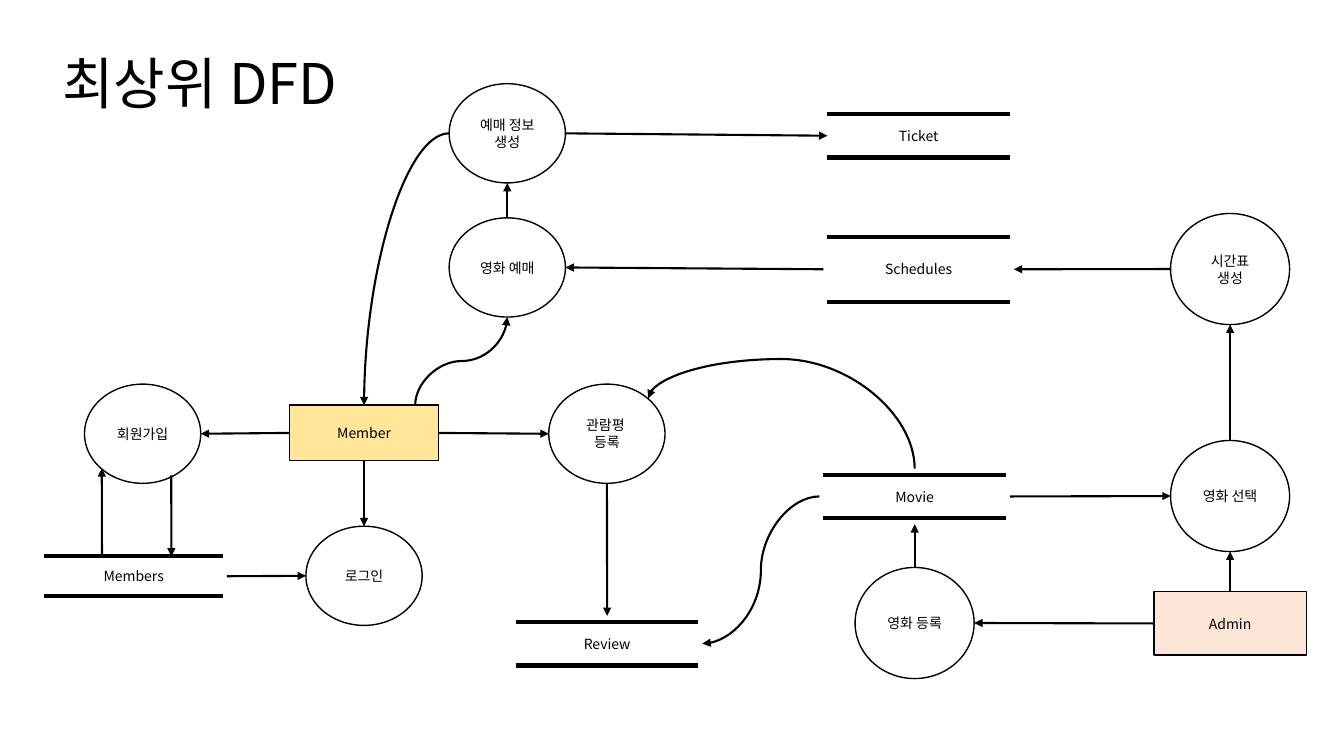
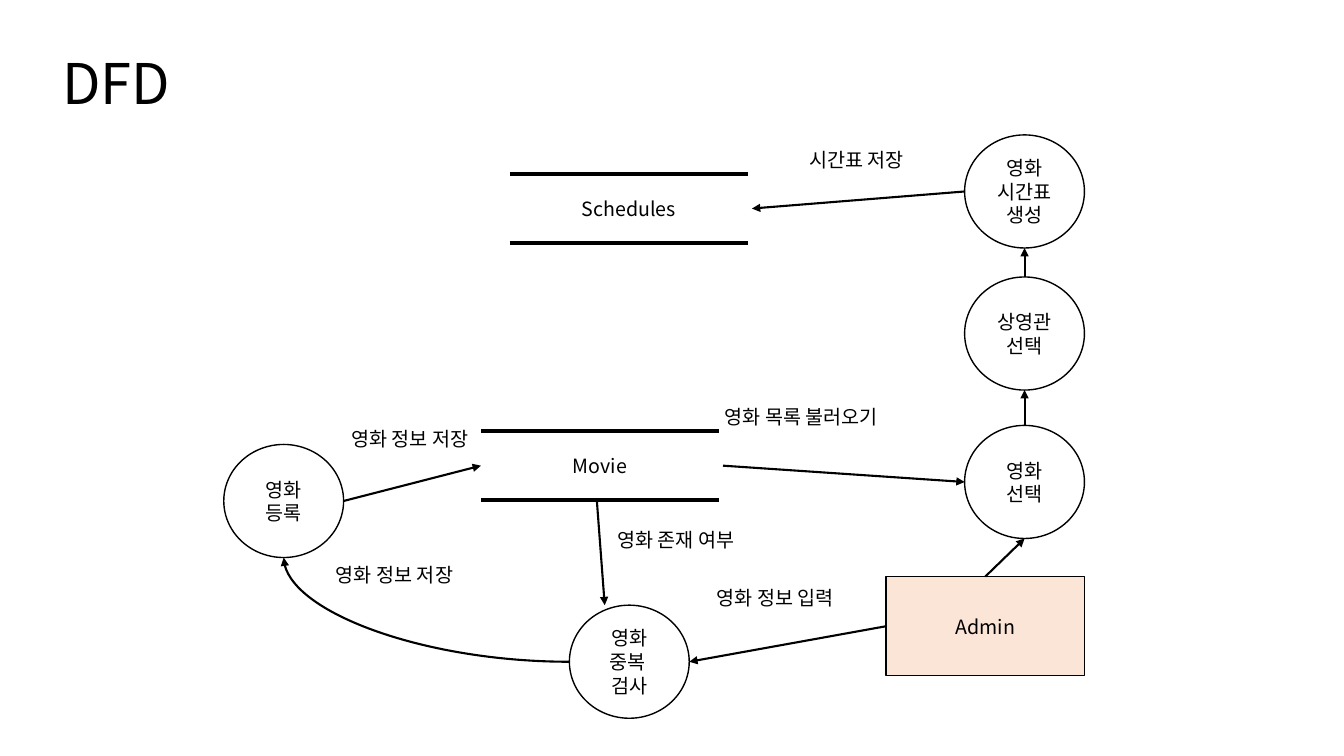
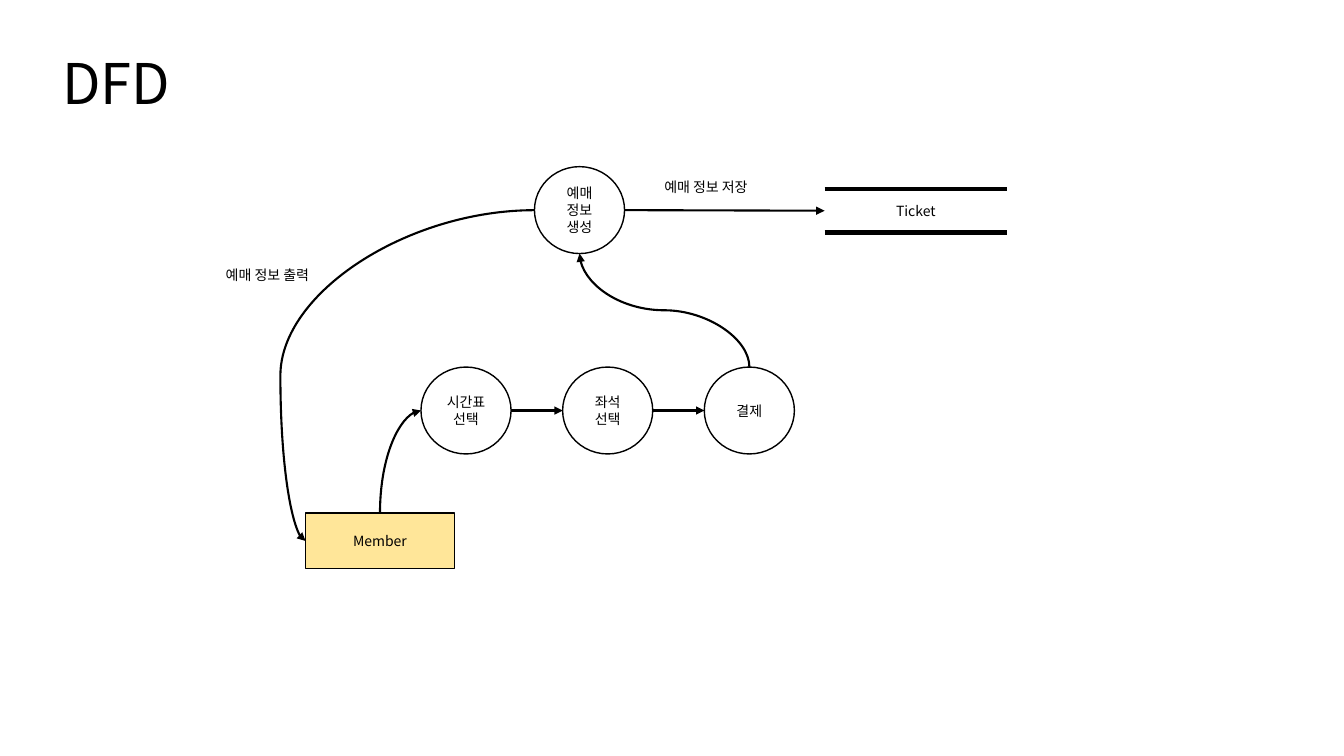
from dataclasses import dataclass
from lxml.etree import SubElement
from pptx import Presentation
from pptx.dml.color import RGBColor
from pptx.enum.shapes import MSO_CONNECTOR, MSO_SHAPE
from pptx.enum.text import MSO_ANCHOR, PP_ALIGN
from pptx.oxml.ns import qn
from pptx.util import Cm, Pt

FONT = "Noto Sans CJK KR"
COLORS = {"ink": "000000", "member": "FFE699", "admin": "FBE5D6"}
# Side of a box: fraction of width and height, outward direction
SIDES = {"l": (0, 0.5, -1, 0), "r": (1, 0.5, 1, 0),
         "t": (0.5, 0, 0, -1), "b": (0.5, 1, 0, 1)}
GAP = 0.1       # between an arrow and the end of a store
GAP_V = 0.15    # between an arrow and the line of a store


def color(name):
    return RGBColor.from_string(COLORS[name])


def write(sp, text, size, align=PP_ALIGN.CENTER, anchor=MSO_ANCHOR.MIDDLE):
    tf = sp.text_frame
    tf.text = text
    tf.word_wrap = True
    tf.vertical_anchor = anchor
    for p in tf.paragraphs:
        p.alignment = align
        for r in p.runs:
            r.font.size = Pt(size)
            r.font.color.rgb = color("ink")
            r.font.name = FONT
            SubElement(r.font._element, qn("a:ea"), typeface=FONT)


def style_line(conn, width, arrow=False):
    conn.line.color.rgb = color("ink")
    conn.line.width = Pt(width)
    sp_pr = conn._element.spPr
    if arrow:
        SubElement(sp_pr.find(qn("a:ln")), qn("a:tailEnd"), type="triangle")
    SubElement(sp_pr, qn("a:effectLst"))


def at(sp, side, gap=0, shift=0):
    """Point on a side of a shape, moved outward by gap and along it by shift."""
    fx, fy, nx, ny = SIDES[side]
    return (sp.left + int(sp.width * fx) + Cm(gap * nx + shift * abs(ny)),
            sp.top + int(sp.height * fy) + Cm(gap * ny + shift * abs(nx)))


@dataclass
class Diagram:
    slide: object
    size: int
    process_w: float
    process_h: float

    def title(self, text):
        sp = self.slide.shapes.add_textbox(Cm(1.32), Cm(0.33), Cm(29.21), Cm(3.68))
        write(sp, text, 40, PP_ALIGN.LEFT)
        sp.text_frame.paragraphs[0].line_spacing = 0.9

    def node(self, kind, text, x, y, w, h, fill=None):
        sp = self.slide.shapes.add_shape(kind, Cm(x), Cm(y), Cm(w), Cm(h))
        sp.shadow.inherit = False
        if fill:
            sp.fill.solid()
            sp.fill.fore_color.rgb = color(fill)
        else:
            sp.fill.background()
        sp.line.color.rgb = color("ink")
        sp.line.width = Pt(1)
        write(sp, text, self.size)
        return sp

    def process(self, text, x, y, w=None, h=None):
        return self.node(MSO_SHAPE.OVAL, text, x, y,
                         w or self.process_w, h or self.process_h)

    def entity(self, text, x, y, w, h):
        return self.node(MSO_SHAPE.RECTANGLE, text, x, y, w, h, text.lower())

    def store(self, text, x, y, w=4.6, h=1.1):
        """Data store: a name between two thick lines."""
        group = self.slide.shapes.add_group_shape()
        for line_y in (y, y + h):
            style_line(group.shapes.add_connector(
                MSO_CONNECTOR.STRAIGHT, Cm(x), Cm(line_y), Cm(x + w), Cm(line_y)), 3)
        write(group.shapes.add_textbox(Cm(x), Cm(y), Cm(w), Cm(h)), text, self.size)
        return group

    def label(self, text, x, y, w, align=PP_ALIGN.CENTER):
        height = Cm(0.25) + Pt(self.size * 1.2)
        sp = self.slide.shapes.add_textbox(Cm(x), Cm(y), Cm(w), height)
        write(sp, text, self.size, align, MSO_ANCHOR.TOP)

    def arrow(self, start, end):
        conn = self.slide.shapes.add_connector(MSO_CONNECTOR.STRAIGHT, *start, *end)
        style_line(conn, 1.5, arrow=True)

    def curve(self, start, end, upward=False, bend=None):
        """Curve leaving leftward or upward; bend places the middle of an S."""
        dx, dy = end[0] - start[0], end[1] - start[1]
        w, h = abs(dx), abs(dy)
        if upward:
            w, h = h, w
            rot, flip_h, flip_v = (90, True, True) if dx > 0 else (270, False, True)
        else:
            rot, flip_h, flip_v = 180, False, dy > 0
        x = (start[0] + end[0] - w) // 2
        y = (start[1] + end[1] - h) // 2
        conn = self.slide.shapes.add_connector(MSO_CONNECTOR.CURVE, x, y, x + w, y + h)
        sp_pr = conn._element.spPr
        xfrm = sp_pr.find(qn("a:xfrm"))
        xfrm.set("rot", str(rot * 60000))
        for name, flipped in (("flipH", flip_h), ("flipV", flip_v)):
            if flipped:
                xfrm.set(name, "1")
        geom = sp_pr.find(qn("a:prstGeom"))
        if bend is None:
            geom.set("prst", "curvedConnector2")
        else:
            SubElement(geom.find(qn("a:avLst")), qn("a:gd"),
                       name="adj1", fmla=f"val {round(bend * 100000)}")
        style_line(conn, 1.5, arrow=True)


def member_flow(d):
    member = d.entity("Member", 7.3, 10.21, 3.75, 1.4)
    login = d.process("로그인", 7.71, 13.26)
    join = d.process("회원가입", 2.13, 9.68)
    members = d.store("Members", 1.12, 14.02, 4.5, 1)
    d.arrow(at(members, "r", GAP), at(login, "l"))
    d.arrow(at(member, "b"), at(login, "t"))
    d.arrow(at(member, "l"), at(join, "r"))
    d.arrow(at(members, "t", shift=-0.8), at(join, "b", -0.38, -1.03))
    d.arrow(at(join, "b", -0.2, 0.72), at(members, "t", shift=0.95))
    return member


def admin_flow(d):
    """Returns the movie and schedule stores that the members use."""
    big = (3, 2.8)
    admin = d.entity("Admin", 29.08, 14.91, 3.84, 1.6)
    movie = d.store("Movie", 20.75, 11.96)
    schedules = d.store("Schedules", 20.85, 5.97, h=1.63)
    register = d.process("영화 등록", 21.55, 14.3, *big)
    select = d.process("영화 선택", 29.5, 11.1, *big)
    timetable = d.process("시간표 생성", 29.5, 5.38, *big)
    d.arrow(at(admin, "l"), at(register, "r"))
    d.arrow(at(register, "t"), at(movie, "b", GAP_V))
    d.arrow(at(admin, "t"), at(select, "b"))
    d.arrow(at(movie, "r", GAP), at(select, "l"))
    d.arrow(at(select, "t"), at(timetable, "b"))
    d.arrow(at(timetable, "l"), at(schedules, "r", GAP))
    return movie, schedules


def booking_flow(d, member, schedules):
    ticket = d.store("Ticket", 20.85, 2.87)
    book = d.process("영화 예매", 11.32, 5.49)
    info = d.process("예매 정보\n생성", 11.32, 2.11)
    d.curve(at(member, "t", shift=1.29), at(book, "b"), upward=True, bend=0.5)
    d.arrow(at(schedules, "l", GAP), at(book, "r"))
    d.arrow(at(book, "t"), at(info, "b"))
    d.arrow(at(info, "r"), at(ticket, "l"))
    d.curve(at(info, "l"), at(member, "t"))


def review_flow(d, member, movie):
    review = d.store("Review", 13, 15.67)
    opinion = d.process("관람평 \n등록", 13.83, 9.68)
    d.arrow(at(member, "r"), at(opinion, "l"))
    d.arrow(at(opinion, "b"), at(review, "t", GAP_V))
    d.curve(at(movie, "l", GAP), at(review, "r", GAP), bend=0.5)
    d.curve(at(movie, "t", GAP_V), at(opinion, "t", -0.36, 1.04),
            upward=True, bend=1.56)


def overview_slide(d):
    d.title("최상위 DFD")
    member = member_flow(d)
    movie, schedules = admin_flow(d)
    booking_flow(d, member, schedules)
    review_flow(d, member, movie)


def admin_slide(d):
    d.title("DFD")
    admin = d.entity("Admin", 22.33, 14.53, 5, 2.5)
    movie = d.store("Movie", 12.12, 10.87, 6, 1.73)
    schedules = d.store("Schedules", 12.85, 4.39, 6, 1.73)
    register = d.process("영화 등록", 5.64, 11.2)
    check = d.process("영화 중복 \n검사", 14.35, 15.25)
    select, hall, timetable = [
        d.process(text, 24.31, y) for text, y in
        (("영화 선택", 10.72), ("상영관 선택", 6.98), ("영화 시간표 생성", 3.4))]
    d.arrow(at(admin, "l"), at(check, "r"))
    d.curve(at(check, "l"), at(register, "b"))
    d.arrow(at(register, "r"), at(movie, "l"))
    d.arrow(at(movie, "b", shift=-0.08), at(check, "t", shift=-0.62))
    d.arrow(at(movie, "r", GAP), at(select, "l"))
    d.arrow(at(admin, "t"), at(select, "b"))
    d.arrow(at(select, "t"), at(hall, "b"))
    d.arrow(at(hall, "t"), at(timetable, "b"))
    d.arrow(at(timetable, "l"), at(schedules, "r", GAP))
    for text, x, y, w in (("영화 정보 입력", 17.5, 14.63, 4.09),
                          ("영화 정보 저장", 8.28, 10.64, 4.09),
                          ("영화 목록 불러오기", 17.7, 10.08, 5),
                          ("시간표 저장", 19.96, 3.61, 3.25),
                          ("영화 존재 여부", 14.53, 13.18, 5),
                          ("영화 정보 저장", 7.9, 14.05, 4.09)):
        d.label(text, x, y, w)


def booking_slide(d):
    d.title("DFD")
    member = d.entity("Member", 7.7, 12.93, 3.75, 1.4)
    ticket = d.store("Ticket", 20.78, 4.76)
    info = d.process("예매 정보\n생성", 13.47, 4.2)
    steps = [d.process(text, 10.61 + 3.57 * i, 9.25)
             for i, text in enumerate(("시간표 선택", "좌석 선택", "결제"))]
    d.curve(at(member, "t"), at(steps[0], "l"), upward=True)
    for a, b in zip(steps, steps[1:]):
        d.arrow(at(a, "r"), at(b, "l"))
    d.curve(at(steps[-1], "t"), at(info, "b"), upward=True, bend=0.5)
    d.arrow(at(info, "r"), at(ticket, "l"))
    d.curve(at(info, "l"), at(member, "l"), bend=1.11)
    d.label("예매 정보 저장", 15.11, 4.37, 5.36)
    d.label("예매 정보 출력", 5.44, 6.58, 3.5, PP_ALIGN.LEFT)


def main():
    prs = Presentation()
    prs.slide_width, prs.slide_height = Cm(33.87), Cm(19.05)
    for build, size, w, h in ((overview_slide, 10, 2.93, 2.5),
                              (admin_slide, 14, 3.02, 2.85),
                              (booking_slide, 10, 2.27, 2.19)):
        build(Diagram(prs.slides.add_slide(prs.slide_layouts[6]), size, w, h))
    prs.save("out.pptx")


if __name__ == "__main__":
    main()
